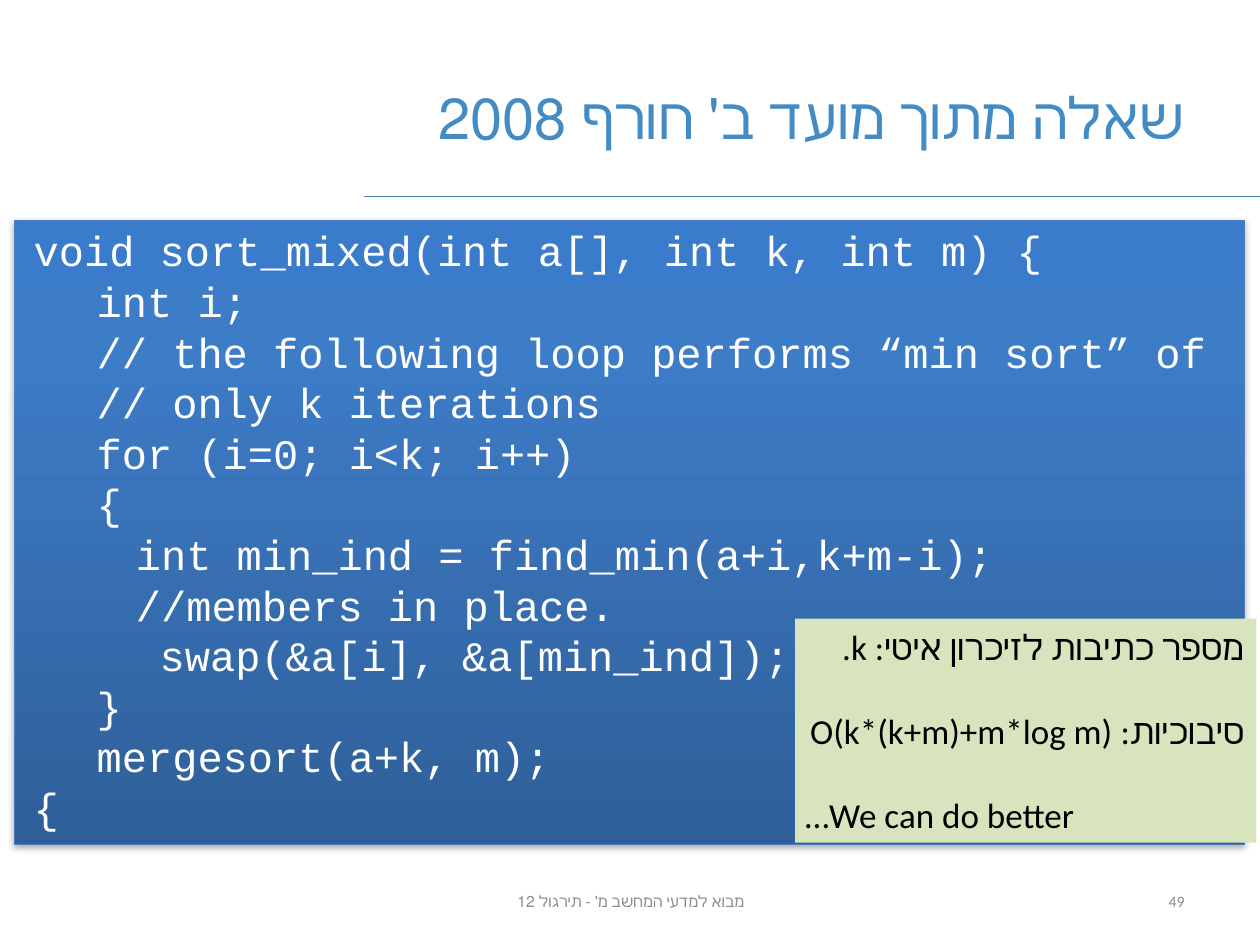
from copy import deepcopy
from dataclasses import dataclass

from lxml import etree
from pptx import Presentation
from pptx.dml.color import RGBColor
from pptx.enum.shapes import MSO_CONNECTOR, MSO_SHAPE
from pptx.enum.text import MSO_ANCHOR, PP_ALIGN
from pptx.oxml.ns import qn
from pptx.util import Cm, Pt

LEFT, CENTER, RIGHT = PP_ALIGN.LEFT, PP_ALIGN.CENTER, PP_ALIGN.RIGHT
TOP, MIDDLE = MSO_ANCHOR.TOP, MSO_ANCHOR.MIDDLE
RECTANGLE = MSO_SHAPE.RECTANGLE
STRAIGHT = MSO_CONNECTOR.STRAIGHT


@dataclass(frozen=True)
class Theme:
    title_color: str = "438BC4"
    rule_color: str = "4B7EBC"
    footer_color: str = "8C8C8C"
    code_color: str = "FFFFFF"
    note_color: str = "000000"
    note_fill: str = "D7E4BD"
    code_gradient: tuple = ((0, "2F5F99"), (0.8, "3D7CC7"), (1, "3A7CCB"))
    title_size: float = 33
    code_size: float = 24
    code_leading: float = 28.9
    note_size: float = 20
    footer_size: float = 9
    title_font: str = "Arial"
    body_font: str = "Calibri"
    code_font: str = "Courier New"


# Code indents in cm: left margin and first-line offset
OUTER = (0.74, -0.74)
BODY = (2.06, -0.79)
LOOP = (2.06, 0)
NESTED = (3.18, -0.64)

CODE_LINES = [
    ("void sort_mixed(int a[], int k, int m) {", OUTER),
    ("int i;", BODY),
    ("// the following loop performs “min sort” of", BODY),
    ("// only k iterations", BODY),
    ("for (i=0; i<k; i++)", BODY),
    ("{", BODY),
    ("int min_ind = find_min(a+i,k+m-i); //members in place.", LOOP),
    ("swap(&a[i], &a[min_ind]);", NESTED),
    ("}", BODY),
    ("mergesort(a+k, m);", BODY),
    ("{", OUTER),
]

NOTE_LINES = [
    ("מספר כתיבות לזיכרון איטי: k.", RIGHT, 0),
    ("סיבוכיות: O(k*(k+m)+m*log m)", RIGHT, 24),
    ("We can do better…", LEFT, 24),
]


def write_text(paragraph, text, *, font, size, color, complex_font=None, align=LEFT,
               rtl=False, indent=(0, 0), before=0, leading=None):
    paragraph.alignment = align
    paragraph.space_before = Pt(before)
    if leading:
        paragraph.line_spacing = Pt(leading)
    properties = paragraph._p.get_or_add_pPr()
    properties.set("rtl", str(int(rtl)))
    properties.set("marL", str(Cm(indent[0])))
    properties.set("indent", str(Cm(indent[1])))
    run = paragraph.add_run()
    run.text = text
    run.font.name = font
    run.font.size = Pt(size)
    run.font.color.rgb = RGBColor.from_string(color)
    if complex_font:
        etree.SubElement(run._r.get_or_add_rPr(), qn("a:cs"), typeface=complex_font)


class SlideBuilder:
    def __init__(self, slide, theme):
        self.slide = slide
        self.theme = theme

    def frame(self, shape, anchor, left, right, edge=0.13):
        frame = shape.text_frame
        frame.word_wrap = True
        frame.vertical_anchor = anchor
        frame.margin_left, frame.margin_right = Cm(left), Cm(right)
        frame.margin_top = frame.margin_bottom = Cm(edge)
        return frame

    def write_lines(self, frame, lines, **style):
        for index, (text, options) in enumerate(lines):
            paragraph = frame.add_paragraph() if index else frame.paragraphs[0]
            write_text(paragraph, text, **style, **options)

    def label(self, box, text, **style):
        shape = self.slide.shapes.add_textbox(*map(Cm, box))
        self.write_lines(self.frame(shape, MIDDLE, 0.25, 0.25), [(text, {})],
                         rtl=True, **style)

    def rule(self, start, end, y):
        line = self.slide.shapes.add_connector(STRAIGHT, Cm(start), Cm(y), Cm(end), Cm(y))
        line.line.color.rgb = RGBColor.from_string(self.theme.rule_color)
        line.line.width = Pt(0.75)
        etree.SubElement(line._element.spPr, qn("a:effectLst"))

    def rectangle(self, box):
        shape = self.slide.shapes.add_shape(RECTANGLE, *map(Cm, box))
        shape.shadow.inherit = False
        return shape

    def code_panel(self, box, lines):
        theme = self.theme
        shape = self.rectangle(box)
        shape.line.color.rgb = RGBColor.from_string(theme.rule_color)
        shape.line.width = Pt(0.75)
        self.fill_gradient(shape, theme.code_gradient)
        self.add_shadow(shape)
        self.write_lines(self.frame(shape, TOP, 0.38, 0.38, edge=0.08),
                         [(text, {"indent": indent}) for text, indent in lines],
                         font=theme.code_font, size=theme.code_size,
                         color=theme.code_color, leading=theme.code_leading)

    def fill_gradient(self, shape, colors):
        shape.fill.gradient()
        shape.fill.gradient_angle = 90
        stop_list = shape._element.spPr.find(".//" + qn("a:gsLst"))
        while len(stop_list) < len(colors):
            stop_list.append(deepcopy(stop_list[0]))
        for stop, (position, color) in zip(shape.fill.gradient_stops, colors):
            stop.position = position
            stop.color.rgb = RGBColor.from_string(color)

    def add_shadow(self, shape):
        effects = shape._element.spPr.find(qn("a:effectLst"))
        shadow = etree.SubElement(effects, qn("a:outerShdw"), blurRad=str(Pt(3.1)),
                                  dist=str(Pt(1.8)), dir="5400000", rotWithShape="0")
        color = etree.SubElement(shadow, qn("a:srgbClr"), val="000000")
        etree.SubElement(color, qn("a:alpha"), val="35000")

    def note(self, box, lines):
        theme = self.theme
        shape = self.rectangle(box)
        shape.fill.solid()
        shape.fill.fore_color.rgb = RGBColor.from_string(theme.note_fill)
        shape.line.fill.background()
        self.write_lines(self.frame(shape, TOP, 0.2, 0.25),
                         [(text, {"align": align, "before": before})
                          for text, align, before in lines],
                         font=theme.body_font, complex_font=theme.body_font,
                         size=theme.note_size, color=theme.note_color, rtl=True)


def main():
    presentation = Presentation()
    presentation.slide_width, presentation.slide_height = Cm(25.4), Cm(19.05)
    theme = Theme()
    builder = SlideBuilder(presentation.slides.add_slide(presentation.slide_layouts[6]), theme)

    # Heading
    builder.rule(25.4, 7.34, 3.96)
    builder.label((1.27, 0.76, 22.86, 3.18), "שאלה מתוך מועד ב' חורף 2008", align=RIGHT,
                  font=theme.title_font, size=theme.title_size, color=theme.title_color)

    # Footer
    footer = {"font": theme.body_font, "size": theme.footer_size, "color": theme.footer_color}
    builder.label((8.69, 17.65, 8.05, 1.02), "מבוא למדעי המחשב מ' - תירגול 12",
                  align=CENTER, **footer)
    builder.label((18.21, 17.65, 5.92, 1.02), "49", align=RIGHT,
                  complex_font=theme.body_font, **footer)

    # Code and its complexity note
    builder.code_panel((0.3, 4.45, 24.79, 12.57), CODE_LINES)
    builder.note((16.03, 12.47, 9.3, 4.52), NOTE_LINES)

    presentation.save("out.pptx")


if __name__ == "__main__":
    main()
